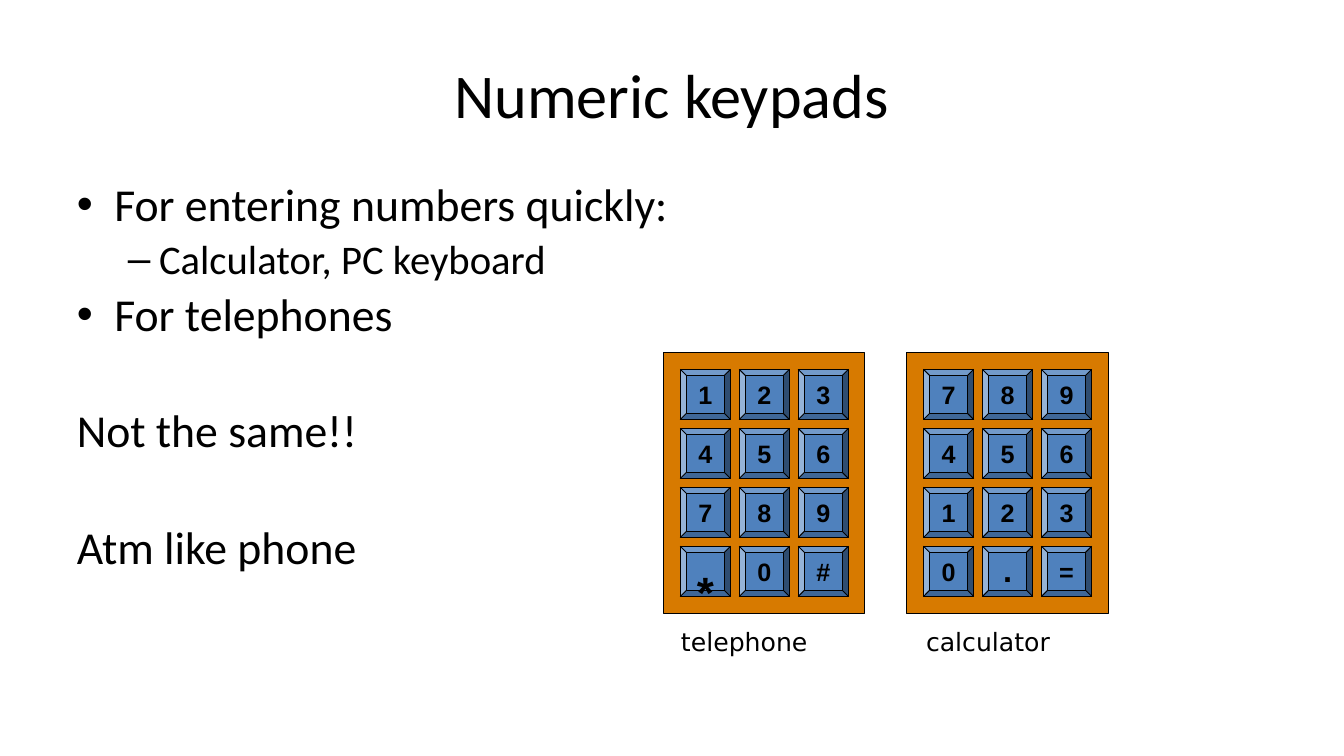
from lxml import etree
from pptx import Presentation, util as u
from pptx.dml.color import RGBColor
from pptx.enum import shapes, text
from pptx.oxml.ns import qn


def style(p, size, font, color="000000", bold=False):
    for r in p.runs:
        r.font.size = u.Pt(size)
        r.font.name = font
        r.font.bold = bold
        r.font.color.rgb = RGBColor.from_string(color)


def add_box(group, kind, left, top, width, height, fill):
    sp = group.shapes.add_shape(kind, u.Inches(left), u.Inches(top),
                                u.Inches(width), u.Inches(height))
    sp.shadow.inherit = False
    sp.fill.solid()
    sp.fill.fore_color.rgb = RGBColor.from_string(fill)
    sp.line.color.rgb = RGBColor.from_string("000000")
    sp.line.width = u.Pt(0.75)
    return sp


prs = Presentation()
prs.slide_width, prs.slide_height = u.Inches(14.7), u.Inches(8.27)
s = prs.slides.add_slide(prs.slide_layouts[1])

# Title and body placeholders
title, body = s.shapes.title, s.placeholders[1]
for sp, top, height in ((title, 0.33, 1.38), (body, 1.93, 5.46)):
    sp.left, sp.top = u.Inches(0.73), u.Inches(top)
    sp.width, sp.height = u.Inches(13.23), u.Inches(height)
    tf = sp.text_frame
    tf.auto_size = text.MSO_AUTO_SIZE.NONE
    tf.margin_left = tf.margin_right = u.Inches(0.11)
    tf.margin_top = tf.margin_bottom = u.Inches(0.06)

title.text_frame.text = "Numeric keypads"
title.text_frame.vertical_anchor = text.MSO_ANCHOR.MIDDLE
p = title.text_frame.paragraphs[0]
p.alignment = text.PP_ALIGN.CENTER
style(p, 49, "Calibri")

# Body lines: text, level, bullet, space before in points
lines = [
    ("For entering numbers quickly:", 0, "•", 7),
    ("Calculator, PC keyboard", 1, "–", 6),
    ("For telephones", 0, "•", 7),
    ("Not the same!!", 0, None, 53),
    ("Atm like phone", 0, None, 53),
]
body.text_frame.text = "\n".join(line[0] for line in lines)
for p, (_, level, bullet, gap) in zip(body.text_frame.paragraphs, lines):
    p.level = level
    p.line_spacing = 0.9
    p.space_before = u.Pt(gap)
    style(p, 32 if level else 36, "Calibri")
    margin, indent = (0.9, -0.34) if level else (0.41, -0.41)
    pPr = p._p.get_or_add_pPr()
    pPr.set("marL", str(u.Inches(margin)))
    pPr.set("indent", str(u.Inches(indent)))
    if bullet:
        etree.SubElement(pPr, qn("a:buChar")).set("char", bullet)
    else:
        etree.SubElement(pPr, qn("a:buNone"))

# Keypads: a panel with a grid of bevelled keys, and a caption below
PANEL_TOP, MARGIN, KEY, PITCH = 3.86, 0.18, 0.55, 0.645
keypads = [
    ("telephone", 7.26, 7.35, ["123", "456", "789", "*0#"]),
    ("calculator", 9.92, 10.03, ["789", "456", "123", "0.="]),
]
special = {"*": (59.5, -10), ".": (44.1, 20)}  # size, baseline shift in percent

for name, left, caption_left, rows in keypads:
    group = s.shapes.add_group_shape()
    add_box(group, shapes.MSO_SHAPE.RECTANGLE, left, PANEL_TOP, 2.2, 2.85, "D77A00")
    for row, symbols in enumerate(rows):
        for col, symbol in enumerate(symbols):
            key = add_box(group, shapes.MSO_SHAPE.BEVEL, left + MARGIN + col * PITCH,
                          PANEL_TOP + MARGIN + row * PITCH, KEY, KEY, "4F81BD")
            key.adjustments[0] = 0.125
            tf = key.text_frame
            tf.text = symbol
            tf.word_wrap = False
            tf.vertical_anchor = text.MSO_ANCHOR.MIDDLE
            p = tf.paragraphs[0]
            p.alignment = text.PP_ALIGN.CENTER
            size, shift = special.get(symbol, (19.8, 0))
            style(p, size, "Arial", bold=True)
            if shift:
                p.runs[0].font._element.set("baseline", str(shift * 1000))

    caption = s.shapes.add_textbox(u.Inches(caption_left), u.Inches(6.8),
                                   u.Inches(1.75), u.Inches(0.43))
    tf = caption.text_frame
    tf.text = name
    tf.word_wrap = True
    tf.auto_size = text.MSO_AUTO_SIZE.NONE
    style(tf.paragraphs[0], 19.8, "DejaVu Sans")

prs.save("out.pptx")
